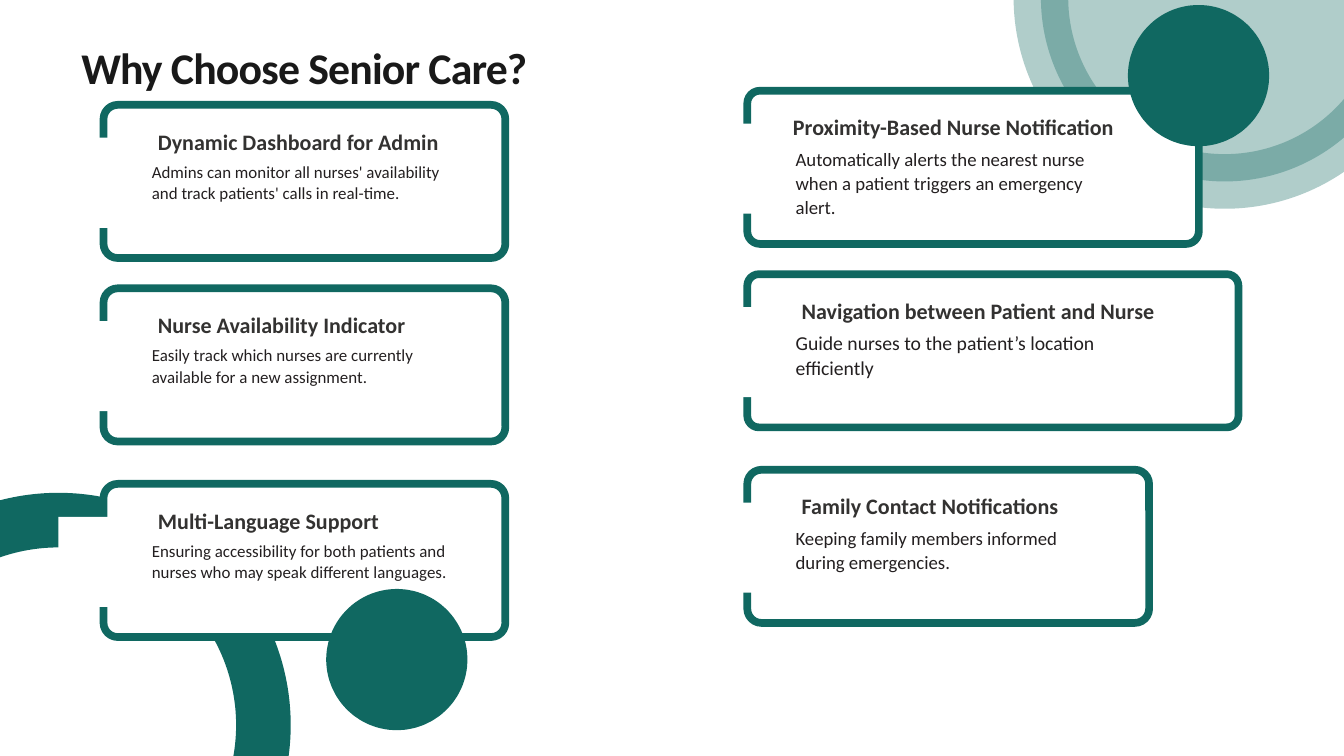
from dataclasses import dataclass

from lxml.etree import SubElement
from pptx import Presentation
from pptx.dml.color import RGBColor
from pptx.enum.shapes import MSO_SHAPE
from pptx.enum.text import MSO_AUTO_SIZE
from pptx.oxml.ns import qn
from pptx.util import Inches, Pt

TEAL = RGBColor(0x10, 0x68, 0x61)
WHITE = RGBColor(0xFF, 0xFF, 0xFF)
TITLE_INK = RGBColor(0x19, 0x19, 0x19)
HEADING_INK = RGBColor(0x33, 0x32, 0x31)
BODY_INK = RGBColor(0x23, 0x1F, 0x20)

FONT = "Calibri"
CARD_HEIGHT = 2.28
NOTCH = 1.34
LEFT_X, RIGHT_X = 1.54, 11.12
LEFT_TOPS = (1.56, 4.29, 7.2)
RIGHT_TOPS = [top - 0.21 for top in LEFT_TOPS]


@dataclass
class Card:
    heading: str
    body: str
    body_height: float
    heading_width: float
    heading_height: float = 0.41
    width: float = 5.98
    body_size: float = 18.1
    heading_dx: float = 0.81


LEFT_CARDS = (
    Card("Dynamic Dashboard for Admin",
         "Admins can monitor all nurses' availability and track patients' calls in real-time.",
         0.93, 5.16, heading_height=0.83),
    Card("Nurse Availability Indicator",
         "Easily track which nurses are currently available for a new assignment.",
         0.93, 4.48, heading_height=0.83),
    Card("Multi-Language Support",
         "Ensuring accessibility for both patients and nurses who may speak different languages.",
         0.93, 4.48),
)
RIGHT_CARDS = (
    Card("Proximity-Based Nurse Notification",
         "Automatically alerts the nearest nurse when a patient triggers an emergency alert.",
         1.05, 6.04, width=6.72, body_size=20.1, heading_dx=0.68),
    Card("Navigation between Patient and Nurse",
         "Guide nurses to the patient’s location efficiently",
         0.74, 6.3, width=7.31, body_size=21.1),
    Card("Family Contact Notifications",
         "Keeping family members informed during emergencies.",
         0.7, 5.65, body_size=20.1),
)


def add_shape(s, kind, x, y, w, h, fill=None, line_width=None):
    sp = s.shapes.add_shape(kind, Inches(x), Inches(y), Inches(w), Inches(h))
    sp.shadow.inherit = False
    if fill is None:
        sp.fill.background()
    else:
        sp.fill.solid()
        sp.fill.fore_color.rgb = fill
    if line_width is None:
        sp.line.fill.background()
    else:
        sp.line.color.rgb = TEAL
        sp.line.width = Pt(line_width)
    return sp


def add_circle(s, x, y, size, fill=None, opacity=None):
    sp = add_shape(s, MSO_SHAPE.OVAL, x, y, size, size, fill, 58.5)
    if opacity is not None:
        for color in list(sp._element.spPr.iter(qn("a:srgbClr"))):
            SubElement(color, qn("a:alpha")).set("val", str(opacity * 1000))


def add_text(s, text, x, y, w, h, size, color, bold=False, leading=1.28, tracking=None):
    tf = s.shapes.add_textbox(Inches(x), Inches(y), Inches(w), Inches(h)).text_frame
    tf.word_wrap = True
    tf.auto_size = MSO_AUTO_SIZE.SHAPE_TO_FIT_TEXT
    tf.margin_left = tf.margin_top = tf.margin_right = tf.margin_bottom = 0
    p = tf.paragraphs[0]
    p.line_spacing = Pt(round(size * leading, 1))
    r = p.add_run()
    r.text = text
    r.font.name = FONT
    r.font.size = Pt(size)
    r.font.bold = bold
    r.font.color.rgb = color
    if tracking is not None:
        r._r.get_or_add_rPr().set("spc", str(tracking))


def add_card(s, card, x, y):
    frame = add_shape(s, MSO_SHAPE.ROUNDED_RECTANGLE, x, y, card.width, CARD_HEIGHT, WHITE, 8.25)
    frame.adjustments[0] = 1.27 / card.width / CARD_HEIGHT
    add_shape(s, MSO_SHAPE.RECTANGLE, x - NOTCH / 2, y + 0.49, NOTCH, NOTCH, WHITE)
    add_text(s, card.heading, x + card.heading_dx, y + 0.32, card.heading_width,
             card.heading_height, 23.6, HEADING_INK, bold=True)
    add_text(s, card.body, x + 0.72, y + 0.82, 4.57, card.body_height, card.body_size, BODY_INK)


def add_column(s, cards, x, tops):
    for card, top in zip(cards, tops):
        add_card(s, card, x, top)


def main():
    prs = Presentation()
    prs.slide_width, prs.slide_height = Inches(20), Inches(11.25)
    s = prs.slides.add_slide(prs.slide_layouts[6])
    s.background.fill.solid()
    s.background.fill.fore_color.rgb = WHITE

    add_circle(s, -2.18, 7.74, 6.1)
    add_circle(s, 15.49, -2.77, 5.47, TEAL, opacity=33)
    add_column(s, LEFT_CARDS, LEFT_X, LEFT_TOPS)
    add_circle(s, 5.26, 9.17, 1.29, TEAL)
    add_column(s, RIGHT_CARDS, RIGHT_X, RIGHT_TOPS)
    add_circle(s, 17.19, 0.48, 1.29, TEAL)
    add_text(s, "Why Choose Senior Care?", 1.21, 0.48, 9.02, 0.87, 46.9, TITLE_INK,
             bold=True, leading=1.4, tracking=-90)

    prs.save("out.pptx")


if __name__ == "__main__":
    main()
